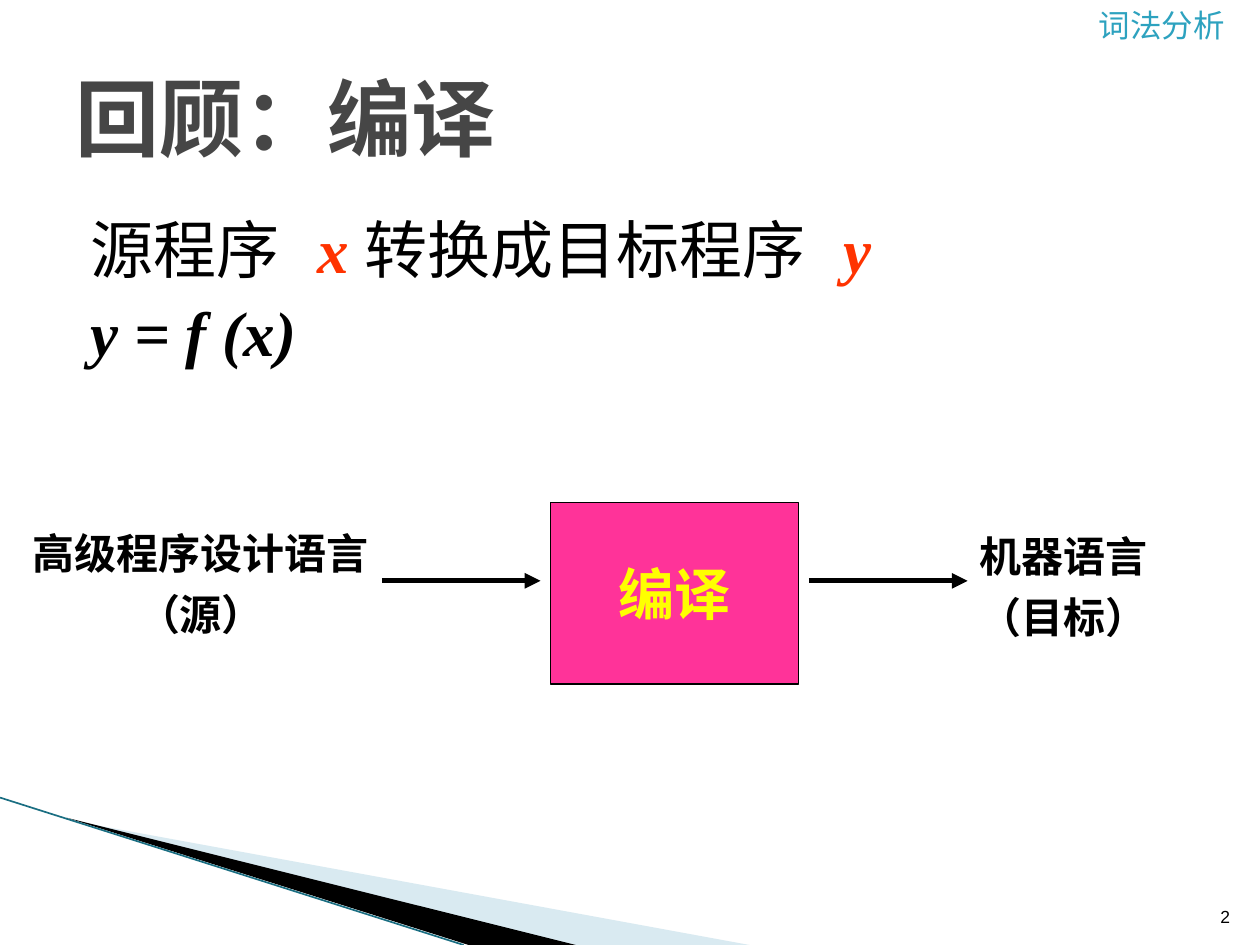
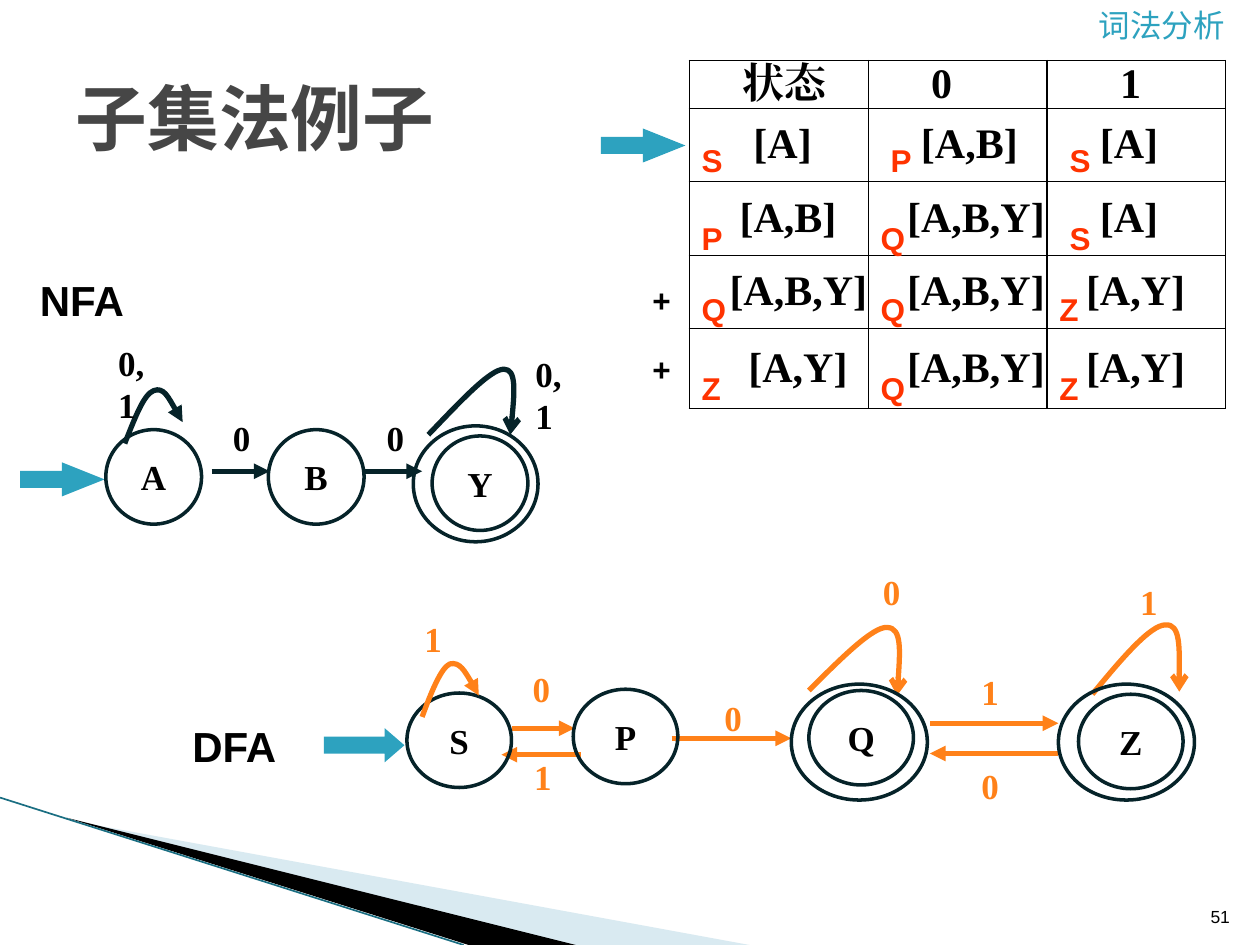
from lxml import etree
from pptx import Presentation
from pptx.dml.color import RGBColor
from pptx.enum.shapes import MSO_CONNECTOR, MSO_SHAPE
from pptx.enum.text import MSO_ANCHOR, MSO_AUTO_SIZE, PP_ALIGN
from pptx.oxml.ns import qn
from pptx.util import Inches, Pt

BLACK = RGBColor(0x00, 0x00, 0x00)
WHITE = RGBColor(0xFF, 0xFF, 0xFF)
GRAY = RGBColor(0x46, 0x46, 0x46)
TEAL = RGBColor(0x2D, 0xA2, 0xBF)
EDGE_TEAL = RGBColor(0x1A, 0x6E, 0x82)
PALE_BLUE = RGBColor(0xA0, 0xCB, 0xDC)
INK = RGBColor(0x06, 0x23, 0x29)
ORANGE = RGBColor(0xFF, 0x81, 0x19)
RED = RGBColor(0xFF, 0x33, 0x00)
PINK = RGBColor(0xFF, 0x33, 0x99)
YELLOW = RGBColor(0xFF, 0xFF, 0x00)

SANS, MONO, SERIF = "Arial", "DejaVu Sans Mono", "Times New Roman"


def inches(values):
    return [Inches(value) for value in values]


class Lecture:
    """Holds the shared style and the slide being built."""

    def __init__(self):
        self.deck = Presentation()
        self.deck.slide_width, self.deck.slide_height = Inches(10), Inches(7.5)
        self.page = None

    def new_page(self, layout, title, title_size, number):
        self.page = self.deck.slides.add_slide(self.deck.slide_layouts[layout])
        # Corner wedge
        self.wedge([(0.55, 6.51), (5.95, 7.5), (4.56, 7.5)], PALE_BLUE, 40)
        self.wedge([(0.53, 6.49), (4.57, 7.5), (3.72, 7.5)], BLACK)
        self.line((0, 6.33), (3.68, 7.5), EDGE_TEAL, 0.95)
        # Chapter name and page number
        self.label("词法分析", (8.62, 0, 1.38, 0.4), 18, SANS, TEAL, bold=False)
        self.label(number, (9.46, 7.01, 0.4, 0.4), 10, SANS, BLACK, bold=False,
                   align=PP_ALIGN.RIGHT, anchor=MSO_ANCHOR.BOTTOM)
        # Title
        frame = self.placeholder(self.page.shapes.title, (0.5, 0.3, 9, 1.25))
        frame.vertical_anchor = MSO_ANCHOR.MIDDLE
        frame.paragraphs[0].alignment = PP_ALIGN.LEFT
        self.run(frame.paragraphs[0], title, title_size, MONO, GRAY)

    def placeholder(self, holder, place):
        holder.left, holder.top, holder.width, holder.height = inches(place)
        holder.text_frame.auto_size = MSO_AUTO_SIZE.NONE
        return holder.text_frame

    def run(self, para, text, size, font, color, bold=True, italic=False):
        span = para.add_run()
        span.text = text
        span.font.size, span.font.name = Pt(size), font
        span.font.bold, span.font.italic = bold, italic
        span.font.color.rgb = color
        east_asian = etree.SubElement(span.font._element, qn("a:ea"))
        east_asian.set("typeface", font)

    def body(self, lines, place):
        frame = self.placeholder(self.page.placeholders[1], place)
        for index, runs in enumerate(lines):
            para = frame.add_paragraph() if index else frame.paragraphs[0]
            properties = para._p.get_or_add_pPr()
            properties.set("marL", str(Inches(0.12)))
            properties.set("indent", "0")
            etree.SubElement(properties, qn("a:buNone"))
            para.space_before = Pt(4 if index else 0)
            for text, font, color in runs:
                slanted = font == SERIF
                self.run(para, text, 36, font, color, slanted, slanted)

    def label(self, text, place, size, font, color, bold=True, align=PP_ALIGN.LEFT,
              anchor=MSO_ANCHOR.TOP, gap=0):
        box = self.page.shapes.add_textbox(*inches(place))
        frame = box.text_frame
        frame.word_wrap, frame.vertical_anchor = True, anchor
        for index, words in enumerate(text.split("\n")):
            para = frame.add_paragraph() if index else frame.paragraphs[0]
            para.alignment = align
            para.space_before = Pt(gap if index else 0)
            self.run(para, words, size, font, color, bold)

    def symbol(self, text, left, top, color, width=0.34):
        self.label(text, (left, top, width, 0.43), 20, SERIF, color)

    def paint(self, shape, fill, line=None, width=0.75):
        shape.shadow.inherit = False
        if fill is None:
            shape.fill.background()
        else:
            shape.fill.solid()
            shape.fill.fore_color.rgb = fill
        if line is None:
            shape.line.fill.background()
        else:
            shape.line.color.rgb, shape.line.width = line, Pt(width)

    def shape(self, kind, place, fill, line=None, width=0.75, text="",
              size=20, font=SERIF, color=BLACK):
        shape = self.page.shapes.add_shape(kind, *inches(place))
        self.paint(shape, fill, line, width)
        if text:
            frame = shape.text_frame
            frame.word_wrap, frame.vertical_anchor = False, MSO_ANCHOR.MIDDLE
            frame.paragraphs[0].alignment = PP_ALIGN.CENTER
            self.run(frame.paragraphs[0], text, size, font, color)
        return shape

    def state(self, name, place, fill=None):
        self.shape(MSO_SHAPE.OVAL, place, fill, INK, 2, name)

    def start_arrow(self, left, top, width, head):
        arrow = self.shape(MSO_SHAPE.RIGHT_ARROW, (left, top, width, 0.27), TEAL)
        arrow.adjustments[0], arrow.adjustments[1] = 0.5, head

    def outline(self, points, closed):
        builder = self.page.shapes.build_freeform(*inches(points[0]), scale=1.0)
        builder.add_line_segments([inches(point) for point in points[1:]], close=closed)
        return builder.convert_to_shape()

    def wedge(self, points, color, opacity=100):
        shape = self.outline(points, True)
        self.paint(shape, color)
        if opacity < 100:
            tint = shape._element.spPr.find(".//" + qn("a:srgbClr"))
            etree.SubElement(tint, qn("a:alpha")).set("val", str(opacity * 1000))

    def loop(self, points, color, head):
        shape = self.outline(points, False)
        self.paint(shape, None, color, 3)
        # Turn every three line segments into one Bezier curve
        segments = list(shape._element.iter(qn("a:lnTo")))
        for start in range(0, len(segments), 3):
            curve = etree.Element(qn("a:cubicBezTo"))
            segments[start].addprevious(curve)
            for segment in segments[start:start + 3]:
                curve.append(segment[0])
                segment.getparent().remove(segment)
        self.arrowhead(shape, head)

    def arrowhead(self, shape, head):
        tail = etree.SubElement(shape.line._get_or_add_ln(), qn("a:tailEnd"))
        tail.set("type", head)

    def line(self, start, end, color, width=3.0, head=None):
        connector = self.page.shapes.add_connector(
            MSO_CONNECTOR.STRAIGHT, *inches(start + end))
        connector.line.color.rgb, connector.line.width = color, Pt(width)
        if head:
            self.arrowhead(connector, head)
        etree.SubElement(connector._element.spPr, qn("a:effectLst"))

    def arrow(self, left, right, height, color):
        self.line((left, height), (right, height), color, head="triangle")

    def table(self, rows, place, heights):
        grid = self.page.shapes.add_table(len(rows), len(rows[0]), *inches(place)).table
        grid.first_row = grid.horz_banding = False
        for row, height, cells in zip(grid.rows, heights, rows):
            row.height = Inches(height)
            for cell, (text, indent) in zip(row.cells, cells):
                cell.margin_left = Inches(indent)
                cell.margin_right = cell.margin_top = cell.margin_bottom = 0
                cell.vertical_anchor = MSO_ANCHOR.MIDDLE
                para = cell.text_frame.paragraphs[0]
                para.line_spacing = Pt(26)
                self.run(para, text, 24, SERIF, BLACK)
                self.borders(cell)
                cell.fill.background()

    def borders(self, cell):
        properties = cell._tc.get_or_add_tcPr()
        for side in ("lnL", "lnR", "lnT", "lnB"):
            edge = etree.SubElement(properties, qn("a:" + side), w=str(Pt(0.75)))
            fill = etree.SubElement(edge, qn("a:solidFill"))
            etree.SubElement(fill, qn("a:srgbClr"), val=str(BLACK))


def compile_page(lecture):
    lecture.new_page(1, "回顾：编译", 48, "2")
    lecture.body([
        [("源程序 ", MONO, BLACK), ("x ", SERIF, RED),
         ("转换成目标程序 ", MONO, BLACK), ("y", SERIF, RED)],
        [("y = f (x)", SERIF, BLACK)],
    ], (0.5, 1.62, 9, 4.95))
    # Source language, compiler, target language
    lecture.shape(MSO_SHAPE.RECTANGLE, (4.37, 3.99, 1.97, 1.44), PINK, BLACK,
                  text="编译", size=32, font=SANS, color=YELLOW)
    for text, place in (("高级程序设计语言\n（源）", (0, 4.14, 3.19, 1.1)),
                        ("机器语言\n（目标）", (7.32, 4.16, 2.24, 1.1))):
        lecture.label(text, place, 24, SANS, BLACK, align=PP_ALIGN.CENTER, gap=6)
    for left in (3.03, 6.42):
        lecture.arrow(left, left + 1.26, 4.61, BLACK)


def state_table(lecture):
    lecture.table([
        [("状态", 0.42), ("0", 0.5), ("1", 0.58)],
        [("[A]", 0.51), ("[A,B]", 0.42), ("[A]", 0.42)],
        [("[A,B]", 0.4), ("[A,B,Y]", 0.31), ("[A]", 0.42)],
        [("[A,B,Y]", 0.32), ("[A,B,Y]", 0.31), ("[A,Y]", 0.31)],
        [("[A,Y]", 0.47), ("[A,B,Y]", 0.31), ("[A,Y]", 0.31)],
    ], (5.47, 0.48, 4.26, 2.76), (0.38, 0.58, 0.59, 0.58, 0.63))
    # New state names
    for names, top in zip(("SPS", "PQS", "QQZ", "ZQZ"), (1.07, 1.69, 2.25, 2.88)):
        for column, name in enumerate(names):
            shift = 0.08 if column and name in "SP" else 0
            lecture.label(name, (5.47 + 1.42 * column + shift, top, 0.47, 0.4),
                          18, SANS, RED)
    # Start and accepting marks
    lecture.start_arrow(4.77, 1.02, 0.67, 1.25)
    for top in (2.18, 2.73):
        lecture.label("+", (5.08, top, 0.39, 0.4), 18, SANS, BLACK)


def nfa(lecture):
    lecture.label("NFA", (0, 2.13, 1.3, 0.5), 24, SANS, BLACK, align=PP_ALIGN.CENTER)
    lecture.loop([(3.4, 3.45), (3.65, 3.19), (3.89, 2.93), (4, 2.93),
                  (4.1, 2.93), (4.08, 3.19), (4.05, 3.45)], INK, "arrow")
    lecture.start_arrow(0.16, 3.67, 0.67, 1.25)
    lecture.state("", (3.28, 3.38, 0.99, 0.92))
    for name, left, top in (("A", 0.84, 3.41), ("B", 2.13, 3.41), ("Y", 3.43, 3.46)):
        lecture.state(name, (left, top, 0.76, 0.75), WHITE)
    for left in (1.68, 2.89):
        lecture.arrow(left, left + 0.46, 3.74, INK)
    lecture.loop([(0.99, 3.52), (1.07, 3.32), (1.14, 3.13), (1.22, 3.1),
                  (1.3, 3.07), (1.37, 3.21), (1.45, 3.35)], INK, "triangle")
    for text, left, top, width in (("0,1", 0.84, 2.66, 0.5), ("0", 1.75, 3.26, 0.34),
                                   ("0", 2.97, 3.26, 0.34), ("0,1", 4.15, 2.75, 0.5)):
        lecture.symbol(text, left, top, BLACK, width)


def dfa(lecture):
    lecture.label("DFA", (1.33, 5.67, 1.06, 0.5), 24, SANS, BLACK,
                  align=PP_ALIGN.CENTER)
    lecture.start_arrow(2.57, 5.78, 0.64, 0.58)
    # Transitions
    for left, right, height in ((4.61, 3.98, 5.99), (4.06, 4.56, 5.78),
                                (5.33, 6.28, 5.86), (8.4, 7.38, 5.98),
                                (7.38, 8.4, 5.74)):
        lecture.arrow(left, right, height, ORANGE)
    lecture.loop([(6.42, 5.48), (6.67, 5.23), (6.93, 4.97), (7.04, 4.98),
                  (7.16, 4.98), (7.14, 5.25), (7.12, 5.52)], ORANGE, "arrow")
    lecture.loop([(8.67, 5.51), (8.9, 5.23), (9.13, 4.96), (9.25, 4.96),
                  (9.37, 4.95), (9.36, 5.22), (9.36, 5.49)], ORANGE, "arrow")
    # States, the accepting ones with an outer ring
    for name, left, top in (("S", 3.23, 5.5), ("P", 4.55, 5.47),
                            ("Q", 6.42, 5.48), ("Z", 8.56, 5.51)):
        lecture.state(name, (left, top, 0.83, 0.75))
    for left in (6.28, 8.4):
        lecture.state("", (left, 5.43, 1.08, 0.92))
    lecture.loop([(3.35, 5.69), (3.42, 5.5), (3.5, 5.3), (3.57, 5.27),
                  (3.65, 5.25), (3.73, 5.39), (3.8, 5.52)], ORANGE, "triangle")
    # Input symbols
    for text, left, top in (("1", 3.27, 4.85), ("0", 4.13, 5.25), ("1", 4.14, 5.95),
                            ("0", 5.65, 5.48), ("0", 6.91, 4.48), ("1", 7.69, 5.27),
                            ("0", 7.69, 6.02), ("1", 8.95, 4.56)):
        lecture.symbol(text, left, top, ORANGE)


def main():
    lecture = Lecture()
    compile_page(lecture)
    lecture.new_page(5, "子集法例子", 41, "51")
    state_table(lecture)
    nfa(lecture)
    dfa(lecture)
    lecture.deck.save("out.pptx")


if __name__ == "__main__":
    main()
